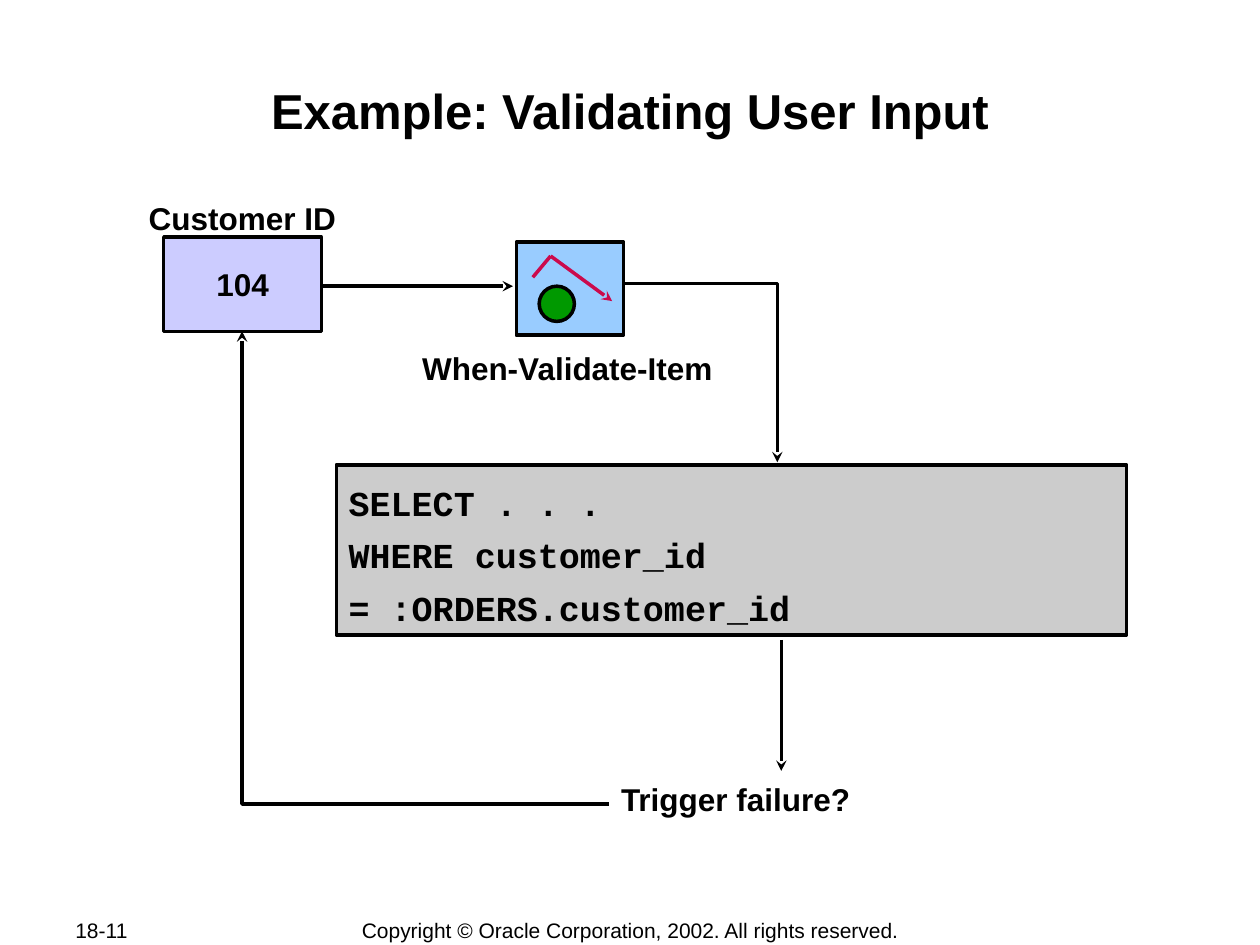
"""Build a slide that traces how a form trigger validates user input."""
from lxml import etree
from pptx import Presentation
from pptx.dml.color import RGBColor
from pptx.enum.shapes import MSO_CONNECTOR, MSO_SHAPE
from pptx.enum.text import MSO_ANCHOR, MSO_AUTO_SIZE, PP_ALIGN
from pptx.oxml.ns import qn
from pptx.util import Cm, Pt

LEFT, CENTER = PP_ALIGN.LEFT, PP_ALIGN.CENTER
TOP, MIDDLE = MSO_ANCHOR.TOP, MSO_ANCHOR.MIDDLE
RECT, OVAL = MSO_SHAPE.RECTANGLE, MSO_SHAPE.OVAL
STRAIGHT = MSO_CONNECTOR.STRAIGHT

THEME = {
    "ink": "000000", "field": "CCCCFF", "code": "CCCCCC",
    "icon": "99CCFF", "dot": "009900", "path": "CB0A4C",
    "sans": "Arial", "mono": "Courier New", "line": 2,
    "title_size": 28, "code_size": 20, "label_size": 18, "footer_size": 12,
}

TITLE = ("Example: Validating User Input", (2.54, 1.47, 20.32, 2.44))
FOOTERS = [
    ("18-11", (1.27, 18.49, 2.69, 0.51), LEFT),
    ("Copyright © Oracle Corporation, 2002. All rights reserved.",
     (7.01, 18.49, 11.4, 0.53), CENTER),
]
LABELS = [
    ("Trigger failure?", (12.27, 15.6, 5.18, 1.02), LEFT),
    ("When-Validate-Item", (8.26, 6.91, 6.4, 1.02), LEFT),
    ("Customer ID", (2.74, 3.89, 4.29, 1.02), CENTER),
]
CODE = (["SELECT . . .", "WHERE customer_id = :ORDERS.customer_id"],
        (6.78, 9.37, 15.93, 3.43))
FIELD = ("104", (3.3, 4.78, 3.18, 1.9))
ARROWS = [
    ((5.97, 5.77), (10.34, 5.77)),
    ((15.75, 12.9), (15.75, 15.54)),
]
ELBOWS = [
    [(12.27, 16.21), (4.88, 16.21), (4.88, 6.68)],
    [(12.27, 5.72), (15.67, 5.72), (15.67, 9.32)],
]
ICON_SHAPES = [
    (RECT, "icon", (10.41, 4.88, 2.16, 1.88)),
    (OVAL, "dot", (10.87, 5.77, 0.71, 0.71)),
]
ICON_PEAK = (11.1, 5.16)
ICON_LINES = [((10.74, 5.59), False), ((12.34, 6.07), True)]


def cm(values):
    return [Cm(v) for v in values]


def color(name):
    return RGBColor.from_string(THEME[name])


def set_line(s, name="ink", arrow=False):
    s.line.color.rgb = color(name)
    s.line.width = Pt(THEME["line"])
    if arrow:
        ln = s.line._get_or_add_ln()
        etree.SubElement(ln, qn("a:tailEnd"), type="stealth")


def set_text(s, lines, size, align=LEFT, anchor=TOP, font="sans",
             bold=True, wrap=False, spacing=None):
    tf = s.text_frame
    tf.text = "\n".join(lines)
    tf.word_wrap = wrap
    tf.auto_size = MSO_AUTO_SIZE.NONE
    tf.vertical_anchor = anchor
    for p in tf.paragraphs:
        p.alignment = align
        p.line_spacing = spacing
        p.font.name = THEME[font]
        p.font.size = Pt(THEME[size])
        p.font.bold = bold
        p.font.color.rgb = color("ink")


def add_box(shapes, kind, fill, box):
    s = shapes.add_shape(kind, *cm(box))
    s.shadow.inherit = False
    s.fill.solid()
    s.fill.fore_color.rgb = color(fill)
    set_line(s)
    return s


def add_line(shapes, start, end, name="ink", arrow=True):
    s = shapes.add_connector(STRAIGHT, *cm(start + end))
    etree.SubElement(s._element.spPr, qn("a:effectLst"))
    set_line(s, name, arrow)


def add_elbow(shapes, points):
    start, *rest = [cm(point) for point in points]
    builder = shapes.build_freeform(*start)
    builder.add_line_segments(rest, close=False)
    s = builder.convert_to_shape()
    s.shadow.inherit = False
    s.fill.background()
    set_line(s, arrow=True)


def add_icon(shapes):
    group = shapes.add_group_shape().shapes
    for kind, fill, box in ICON_SHAPES:
        add_box(group, kind, fill, box)
    for end, arrow in ICON_LINES:
        add_line(group, ICON_PEAK, end, "path", arrow)


def main():
    prs = Presentation()
    prs.slide_width, prs.slide_height = Cm(25.4), Cm(19.05)
    shapes = prs.slides.add_slide(prs.slide_layouts[5]).shapes

    text, box = TITLE
    title = shapes.title
    title.left, title.top, title.width, title.height = cm(box)
    set_text(title, [text], "title_size", CENTER, wrap=True)
    title.text_frame.margin_top = Cm(0.15)

    for text, box, align in FOOTERS:
        set_text(shapes.add_textbox(*cm(box)), [text], "footer_size", align,
                 MIDDLE, bold=False)
    for text, box, align in LABELS:
        set_text(shapes.add_textbox(*cm(box)), [text], "label_size", align)

    lines, box = CODE
    set_text(add_box(shapes, RECT, "code", box), lines, "code_size",
             font="mono", wrap=True, spacing=1.25)

    for start, end in ARROWS:
        add_line(shapes, start, end)
    for points in ELBOWS:
        add_elbow(shapes, points)

    text, box = FIELD
    set_text(add_box(shapes, RECT, "field", box), [text], "label_size",
             CENTER, MIDDLE)
    add_icon(shapes)
    prs.save("out.pptx")


if __name__ == "__main__":
    main()
